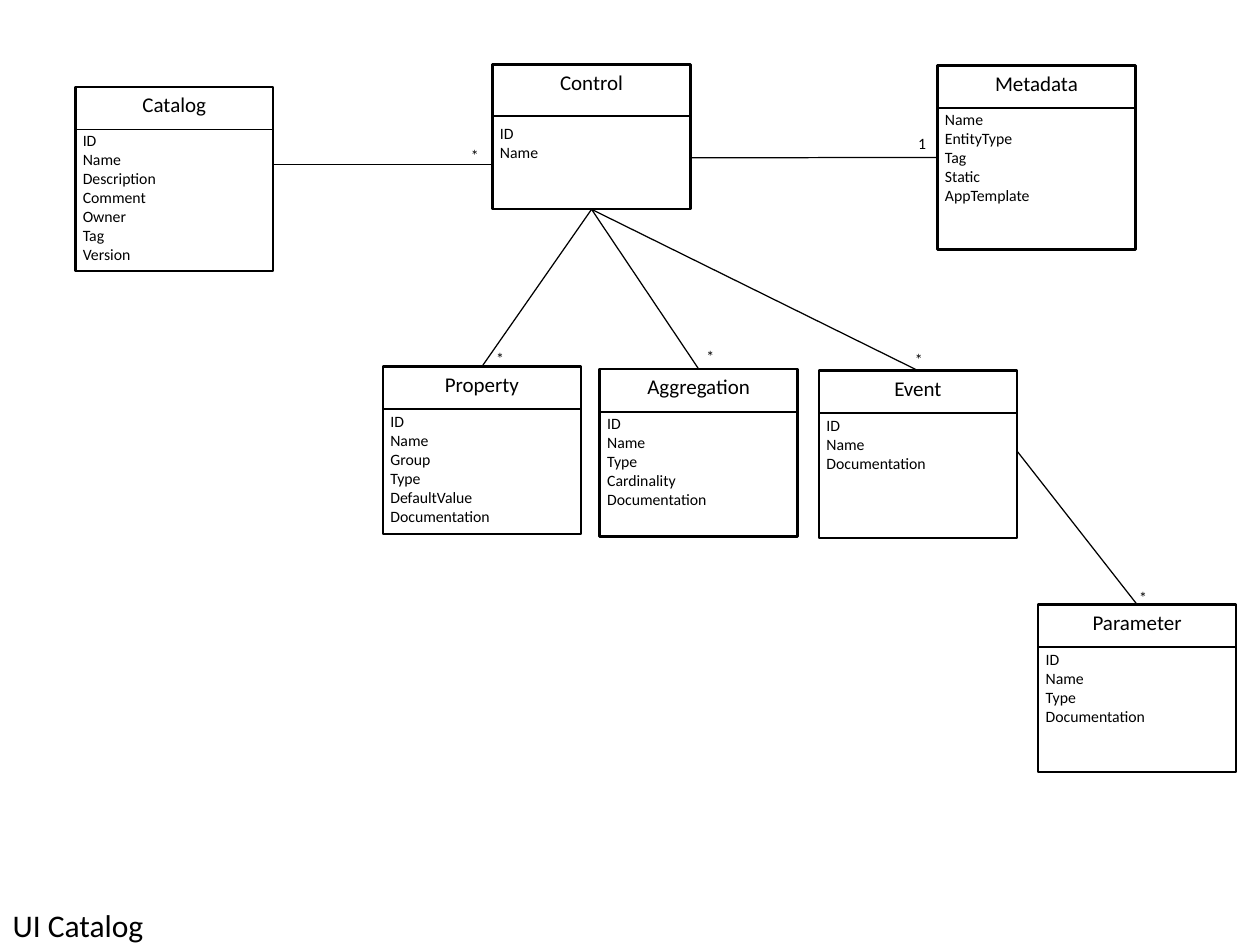
from lxml.etree import SubElement
from pptx import Presentation
from pptx.dml.color import RGBColor
from pptx.enum.shapes import MSO_CONNECTOR, MSO_SHAPE
from pptx.enum.text import MSO_ANCHOR, MSO_AUTO_SIZE, PP_ALIGN
from pptx.oxml.ns import qn
from pptx.util import Cm, Pt

BLACK = RGBColor(0, 0, 0)
WHITE = RGBColor(255, 255, 255)
WIDTH = 3.99

HEAD = dict(margin_left=Cm(0.1), margin_right=Cm(0.1), margin_top=Cm(0.1),
            margin_bottom=Cm(0.1))
BODY = dict(margin_left=Cm(0.15), margin_right=Cm(0.1), margin_top=Cm(0.05),
            margin_bottom=Cm(0.05))

# name: left, top, height, head height, body offset, fields
TABLES = {
    "Control": (9.93, 1.3, 2.92, 1.04, 1.14, ["ID", "Name"]),
    "Property": (7.72, 7.39, 3.38, 0.86, 0.86,
                 ["ID", "Name", "Group", "Type", "DefaultValue", "Documentation"]),
    "Aggregation": (12.09, 7.44, 3.38, 0.86, 0.86,
                    ["ID", "Name", "Type", "Cardinality", "Documentation"]),
    "Event": (16.51, 7.47, 3.38, 0.86, 0.86, ["ID", "Name", "Documentation"]),
    "Parameter": (20.93, 12.19, 3.38, 0.86, 0.86,
                  ["ID", "Name", "Type", "Documentation"]),
    "Catalog": (1.52, 1.75, 3.71, 0.86, 0.84,
                ["ID", "Name", "Description", "Comment", "Owner", "Tag", "Version"]),
    "Metadata": (18.9, 1.32, 3.71, 0.86, 0.84,
                 ["Name", "EntityType", "Tag", "Static", "AppTemplate"]),
}
MARKS = [("*", 13.94, 6.86), ("*", 9.19, 2.82), ("*", 9.7, 6.91),
         ("*", 22.66, 11.73), ("*", 18.14, 6.93), ("1", 18.21, 2.57)]


def write(shape, lines, size, align=PP_ALIGN.LEFT, **form):
    """Fill a shape with formatted paragraphs."""
    frame = shape.text_frame
    frame.text = "\n".join(lines)
    base = dict(word_wrap=True, auto_size=MSO_AUTO_SIZE.NONE,
                vertical_anchor=MSO_ANCHOR.TOP)
    for key, val in {**base, **form}.items():
        setattr(frame, key, val)
    for para in frame.paragraphs:
        para.alignment = align
        font = para.runs[0].font
        for key, val in dict(name="Calibri", size=Pt(size)).items():
            setattr(font, key, val)
        font.color.rgb = BLACK


def link(shapes, x1, y1, x2, y2, width=0.7):
    """Draw a plain straight line."""
    line = shapes.add_connector(MSO_CONNECTOR.STRAIGHT,
                                Cm(x1), Cm(y1), Cm(x2), Cm(y2))
    line.line.color.rgb = BLACK
    line.line.width = Pt(width)
    SubElement(line._element.spPr, qn("a:effectLst"))
    return line


def table(slide, name, left, top, high, head, drop, fields):
    """Draw a grouped entity and return its frame."""
    shapes = slide.shapes.add_group_shape().shapes
    box = shapes.add_shape(MSO_SHAPE.RECTANGLE, Cm(left), Cm(top),
                           Cm(WIDTH), Cm(high))
    box.shadow.inherit = False
    box.fill.solid()
    box.fill.fore_color.rgb = WHITE
    box.line.color.rgb = BLACK
    box.line.width = Pt(1.4)
    write(box, [name], 12, PP_ALIGN.CENTER, **HEAD)
    link(shapes, left, top + head, left + WIDTH, top + head, 1)
    body = shapes.add_textbox(Cm(left), Cm(top + drop), Cm(WIDTH), Cm(high - drop))
    write(body, fields, 9, **BODY)
    return box


def mark(slide, text, left, top):
    """Place a multiplicity label."""
    box = slide.shapes.add_textbox(Cm(left), Cm(top), Cm(0.71), Cm(0.64))
    write(box, [text], 9, PP_ALIGN.RIGHT)


def title(slide, text):
    """Move and format the title placeholder."""
    shape = slide.shapes.title
    place = dict(left=Cm(0), top=Cm(18.14), width=Cm(3.18), height=Cm(1.02))
    for key, val in place.items():
        setattr(shape, key, val)
    write(shape, [text], 18, word_wrap=False)


def main():
    """Build the class diagram slide."""
    deck = Presentation()
    deck.slide_width, deck.slide_height = Cm(25.4), Cm(19.05)
    slide = deck.slides.add_slide(deck.slide_layouts[5])
    title(slide, "UI Catalog")
    boxes = {name: table(slide, name, *row) for name, row in TABLES.items()}
    for name in ("Property", "Aggregation", "Event"):
        line = link(slide.shapes, 0, 0, 1, 1)
        line.begin_connect(boxes["Control"], 2)
        line.end_connect(boxes[name], 0)
    link(slide.shapes, 5.51, 3.31, 9.93, 3.31)
    link(slide.shapes, 13.92, 3.18, 18.9, 3.18).end_connect(boxes["Metadata"], 1)
    link(slide.shapes, 20.5, 9.09, 22.92, 12.19).end_connect(boxes["Parameter"], 0)
    for row in MARKS:
        mark(slide, *row)
    deck.save("out.pptx")


if __name__ == "__main__":
    main()
